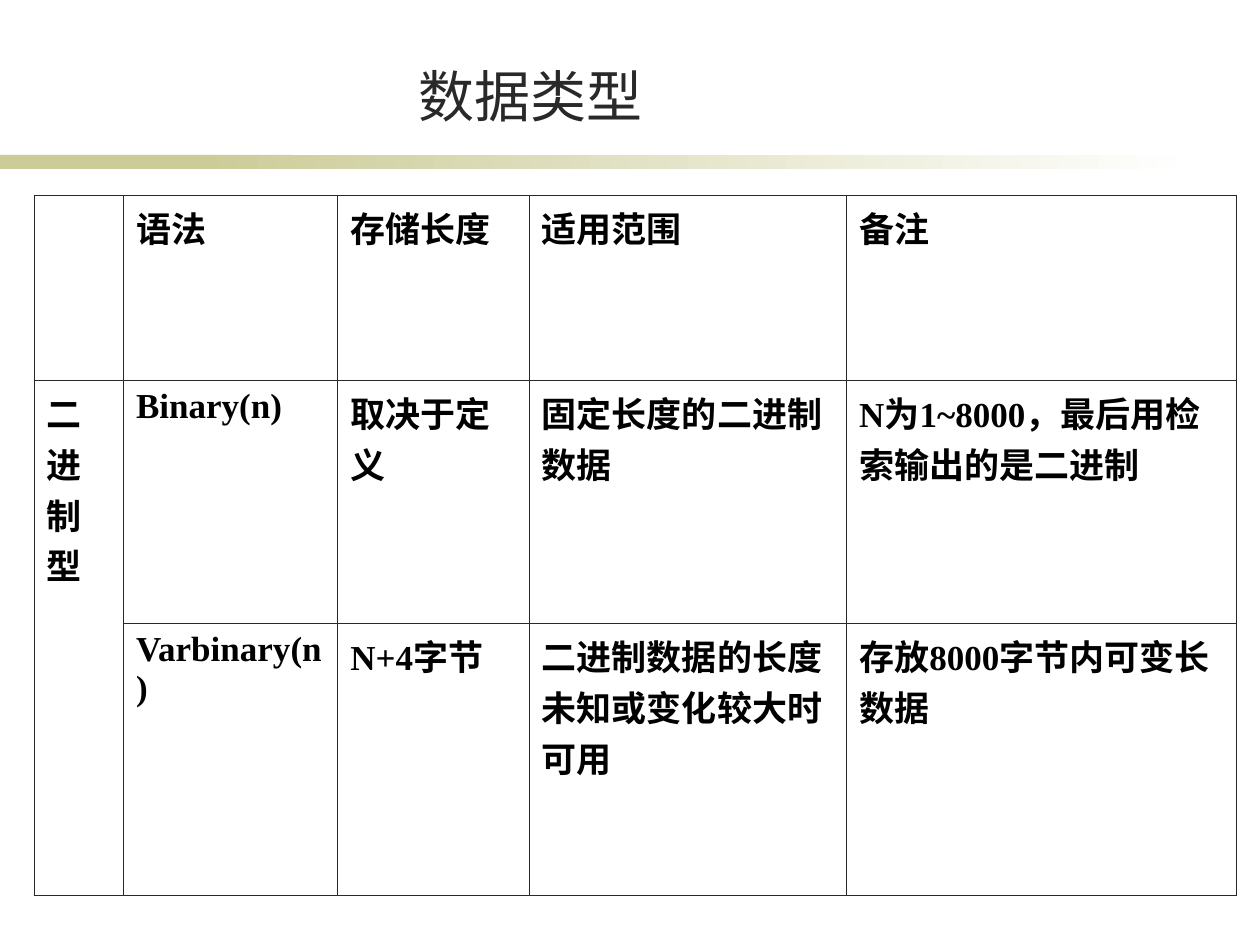
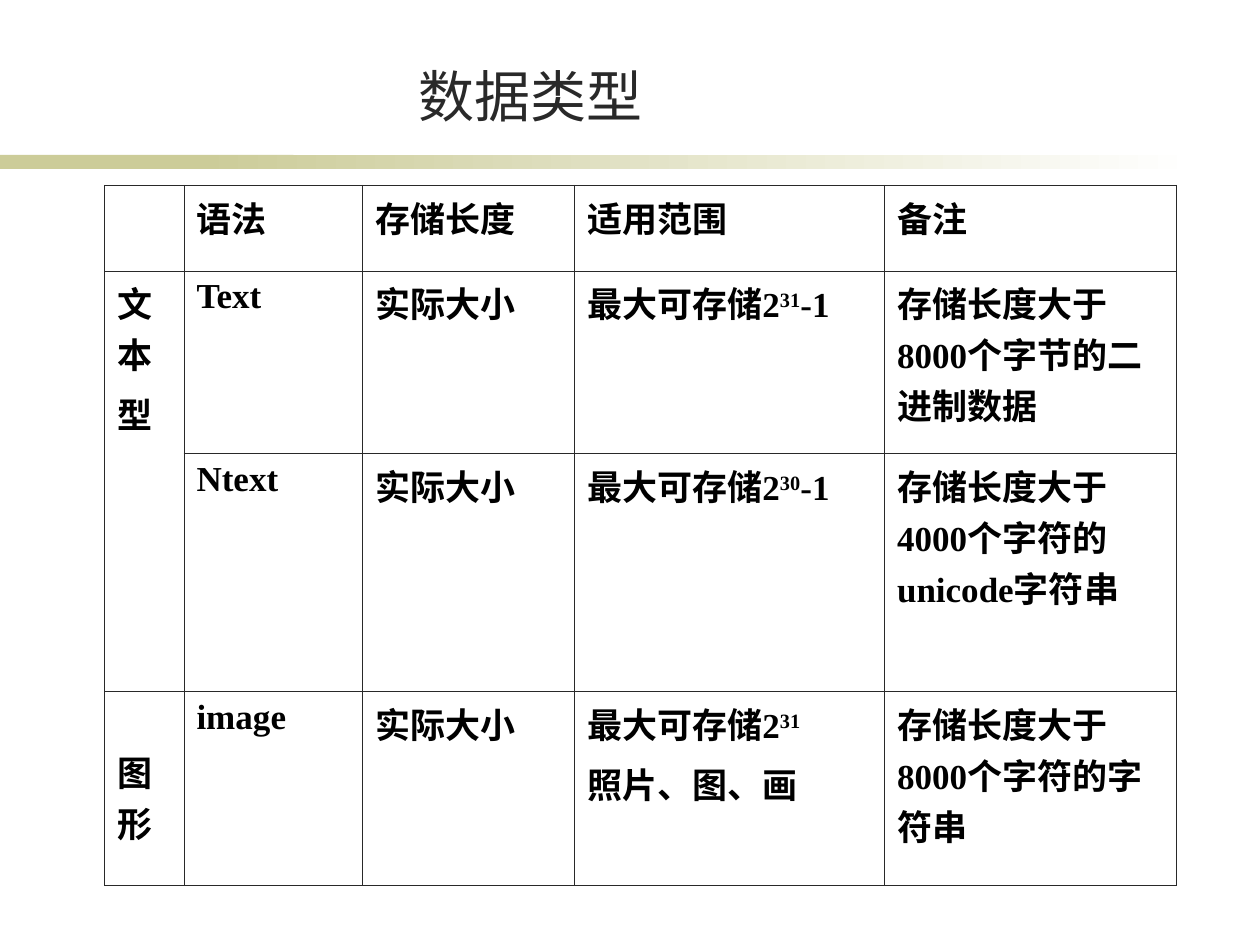
from lxml import etree
from pptx import Presentation
from pptx.dml.color import RGBColor
from pptx.enum.shapes import MSO_SHAPE as SHAPE
from pptx.enum.text import MSO_ANCHOR as ANCHOR, PP_ALIGN as ALIGN
from pptx.oxml.ns import qn
from pptx.util import Inches, Pt

OLIVE, WHITE, CHARCOAL, BLACK = "CCCC99", "FFFFFF", "292929", "000000"
TITLE_FONT, TABLE_FONT = "Arial", "Times New Roman"
BORDER_WIDTH = Pt(0.45)
HEADINGS = ["", "语法", "存储长度", "适用范围", "备注"]
ABOVE = None  # cell that joins the one above it


def color(hex_code):
    return RGBColor.from_string(hex_code)


def set_font(paragraph, name, size, hex_code, bold=False):
    font = paragraph.font
    font.name, font.size, font.bold = name, Pt(size), bold
    font.color.rgb = color(hex_code)


def add_band(slide, left, top, width, height):
    band = slide.shapes.add_shape(
        SHAPE.RECTANGLE, Inches(left), Inches(top), Inches(width), Inches(height))
    band.shadow.inherit = False
    band.line.fill.background()
    return band.fill


def add_header(slide, title, left=0, top=0.44):
    # Olive band fading to white
    band_top = top + 0.79
    solid = add_band(slide, left, band_top, 2.33, 0.11)
    solid.solid()
    solid.fore_color.rgb = color(OLIVE)
    fade = add_band(slide, left + 1.58, band_top, 7.92, 0.11)
    fade.gradient()
    fade.gradient_angle = 0
    for stop, hex_code in zip(fade.gradient_stops, (OLIVE, WHITE)):
        stop.color.rgb = color(hex_code)

    # Title
    heading = slide.shapes.add_textbox(
        Inches(left + 1.14), Inches(top), Inches(6.14), Inches(0.63)).text_frame
    heading.word_wrap = True
    heading.vertical_anchor = ANCHOR.BOTTOM
    line = heading.paragraphs[0]
    line.text = title
    line.alignment = ALIGN.CENTER
    set_font(line, TITLE_FONT, 32, CHARCOAL)


def style_cell(cell):
    properties = cell._tc.get_or_add_tcPr()
    for side in ("a:lnL", "a:lnR", "a:lnT", "a:lnB"):
        border = etree.SubElement(properties, qn(side), w=str(int(BORDER_WIDTH)))
        paint = etree.SubElement(border, qn("a:solidFill"))
        etree.SubElement(paint, qn("a:srgbClr"), val=CHARCOAL)
    cell.fill.background()


def write_cell(cell, text):
    """Each line is a paragraph; text between ^ marks is superscript."""
    frame = cell.text_frame
    for number, content in enumerate(text.split("\n")):
        paragraph = frame.add_paragraph() if number else frame.paragraphs[0]
        if number:
            paragraph.space_before = Pt(5)
        set_font(paragraph, TABLE_FONT, 20, BLACK, bold=True)
        for part, piece in enumerate(content.split("^")):
            if piece:
                run = paragraph.add_run()
                run.text = piece
                if part % 2:
                    run.font._element.set("baseline", "30000")


def add_type_table(slide, left, top, widths, heights, body):
    rows = [HEADINGS] + body
    table = slide.shapes.add_table(
        len(rows), len(widths), Inches(left), Inches(top),
        Inches(sum(widths)), Inches(sum(heights))).table
    table.first_row = table.horz_banding = False
    for column, width in zip(table.columns, widths):
        column.width = Inches(width)
    for row, height in zip(table.rows, heights):
        row.height = Inches(height)
    for r, texts in enumerate(rows):
        for c, text in enumerate(texts):
            cell = table.cell(r, c)
            style_cell(cell)
            if text is ABOVE:
                table.cell(r - 1, c).merge(cell)
            else:
                write_cell(cell, text)
    return table


def add_type_slide(deck):
    slide = deck.slides.add_slide(deck.slide_layouts[6])
    add_header(slide, "数据类型")
    return slide


def build_binary_slide(deck):
    add_type_table(
        add_type_slide(deck), 0.27, 1.55,
        [0.71, 1.7, 1.52, 2.52, 3.09], [1.47, 1.93, 2.16],
        [["二进制型", "Binary(n)", "取决于定义", "固定长度的二进制数据",
          "N为1~8000，最后用检索输出的是二进制"],
         [ABOVE, "Varbinary(n)", "N+4字节", "二进制数据的长度未知或变化较大时可用",
          "存放8000字节内可变长数据"]])


def build_text_image_slide(deck):
    size = "实际大小"
    table = add_type_table(
        add_type_slide(deck), 0.83, 1.47,
        [0.63, 1.42, 1.68, 2.46, 2.32], [0.68, 1.45, 1.89, 1.54],
        [["文本\n型", "Text", size, "最大可存储2^31^-1",
          "存储长度大于8000个字节的二进制数据"],
         [ABOVE, "Ntext", size, "最大可存储2^30^-1",
          "存储长度大于4000个字符的unicode字符串"],
         ["图形", "image", size, "最大可存储2^31^\n照片、图、画",
          "存储长度大于8000个字符的字符串"]])
    # The image label sits one line lower
    table.cell(3, 0).margin_top = Inches(0.43)


def main():
    deck = Presentation()
    deck.slide_width, deck.slide_height = Inches(10), Inches(7.5)
    build_binary_slide(deck)
    build_text_image_slide(deck)
    deck.save("out.pptx")


if __name__ == "__main__":
    main()
